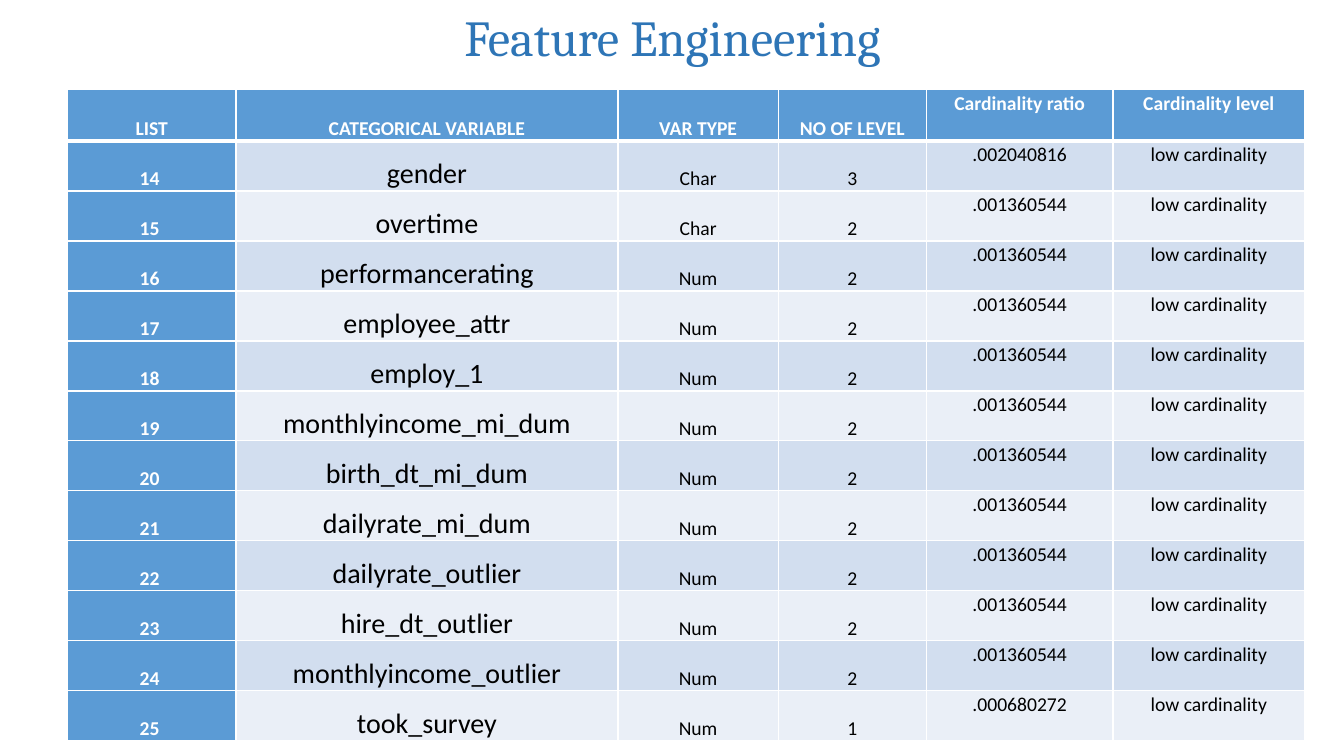
from lxml import etree
from pptx import Presentation
from pptx.dml.color import RGBColor
from pptx.enum.text import MSO_ANCHOR, PP_ALIGN
from pptx.oxml.ns import qn
from pptx.util import Inches, Pt

TOP, BOTTOM = MSO_ANCHOR.TOP, MSO_ANCHOR.BOTTOM
CENTER = PP_ALIGN.CENTER

WHITE, BLACK, HEADER_BLUE = "FFFFFF", "000000", "5B9BD5"
BANDS = ["D2DEEF", "EAEFF7"]

HEADINGS = ["LIST", "CATEGORICAL VARIABLE", "VAR TYPE", "NO OF LEVEL",
            "Cardinality ratio", "Cardinality level"]
COLUMN_WIDTHS = [1.67, 3.79, 1.59, 1.47, 1.85, 1.9]
HEADER_HEIGHT, TABLE_HEIGHT = 0.51, 6.46
FIRST_NUMBER = 14
VARIABLES = [
    ("gender", "Char", "3", ".002040816"),
    ("overtime", "Char", "2", ".001360544"),
    ("performancerating", "Num", "2", ".001360544"),
    ("employee_attr", "Num", "2", ".001360544"),
    ("employ_1", "Num", "2", ".001360544"),
    ("monthlyincome_mi_dum", "Num", "2", ".001360544"),
    ("birth_dt_mi_dum", "Num", "2", ".001360544"),
    ("dailyrate_mi_dum", "Num", "2", ".001360544"),
    ("dailyrate_outlier", "Num", "2", ".001360544"),
    ("hire_dt_outlier", "Num", "2", ".001360544"),
    ("monthlyincome_outlier", "Num", "2", ".001360544"),
    ("took_survey", "Num", "1", ".000680272"),
]


def color(hex_code):
    return RGBColor.from_string(hex_code)


def write(paragraph, text, font, size, hex_code, bold=False):
    paragraph.alignment = CENTER
    run = paragraph.add_run()
    run.text = text
    run.font.name = font
    run.font.size = Pt(size)
    run.font.bold = bold
    run.font.color.rgb = color(hex_code)


prs = Presentation()
prs.slide_width, prs.slide_height = Inches(13.33), Inches(7.5)
slide = prs.slides.add_slide(prs.slide_layouts[6])

# Title
title = slide.shapes.add_textbox(Inches(1.67), Inches(0.07), Inches(10), Inches(0.64)).text_frame
title.word_wrap = True
title.vertical_anchor = BOTTOM
write(title.paragraphs[0], "Feature Engineering", "Cambria", 36, "2E75B6")

# Cardinality table
rows = [HEADINGS]
for number, variable in enumerate(VARIABLES, FIRST_NUMBER):
    rows.append([f"{number} ", *variable, "low cardinality"])
table = slide.shapes.add_table(len(rows), len(HEADINGS), Inches(0.67), Inches(0.89),
                               Inches(sum(COLUMN_WIDTHS)), Inches(TABLE_HEIGHT)).table
for column, width in zip(table.columns, COLUMN_WIDTHS):
    column.width = Inches(width)

for r, row in enumerate(rows):
    is_header = r == 0
    body_height = (TABLE_HEIGHT - HEADER_HEIGHT) / len(VARIABLES)
    table.rows[r].height = Inches(HEADER_HEIGHT if is_header else body_height)
    for c, text in enumerate(row):
        cell = table.cell(r, c)
        is_blue = is_header or c == 0
        cell.margin_left = cell.margin_right = Inches(0.06 if is_header else 0.05)
        cell.margin_top = cell.margin_bottom = 0
        cell.vertical_anchor = BOTTOM if c < 4 else TOP

        # White borders, thicker between the header and the body
        for side in ("L", "R", "T", "B"):
            thick = (is_header and side == "B") or (r == 1 and side == "T")
            border = etree.SubElement(cell._tc.get_or_add_tcPr(), qn(f"a:ln{side}"),
                                      w=str(Pt(3 if thick else 1)))
            fill = etree.SubElement(border, qn("a:solidFill"))
            etree.SubElement(fill, qn("a:srgbClr"), val=WHITE)
        cell.fill.solid()
        cell.fill.fore_color.rgb = color(HEADER_BLUE if is_blue else BANDS[(r - 1) % 2])

        paragraph = cell.text_frame.paragraphs[0]
        paragraph.line_spacing = 1.07
        paragraph.space_after = Pt(0.9)
        size = 20 if c == 1 and not is_header else 14
        write(paragraph, text, "Calibri", size, WHITE if is_blue else BLACK, is_blue)

prs.save("out.pptx")
